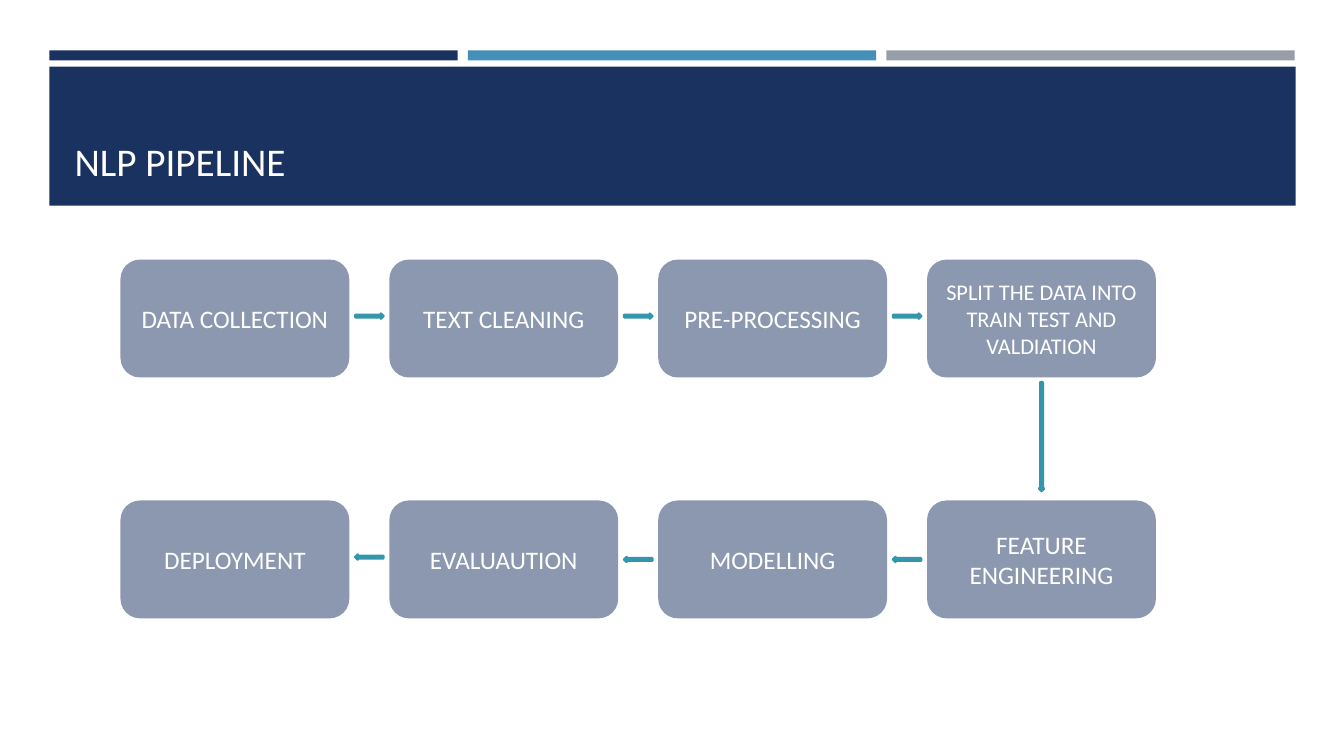
from pptx import Presentation
from pptx.dml.color import RGBColor
from pptx.enum.shapes import MSO_SHAPE
from pptx.enum.text import MSO_ANCHOR, MSO_AUTO_SIZE, PP_ALIGN
from pptx.oxml.ns import qn
from pptx.util import Inches, Pt
from lxml.etree import SubElement

NAVY = RGBColor(0x1A, 0x32, 0x60)
BLUE = RGBColor(0x45, 0x90, 0xB8)
GRAY = RGBColor(0x96, 0x9F, 0xA7)
CYAN = RGBColor(0x45, 0xCB, 0xE8)
TEAL = RGBColor(0x33, 0x96, 0xAC)
WHITE = RGBColor(0xFF, 0xFF, 0xFF)

STAGES = [
    ["DATA COLLECTION", "TEXT CLEANING", "PRE-PROCESSING",
     "SPLIT THE DATA INTO TRAIN TEST AND VALDIATION"],
    ["DEPLOYMENT", "EVALUAUTION", "MODELLING", "FEATURE ENGINEERING"],
]
ARROWS = [
    (0.5, -0.01, 0.28, 0), (1.5, -0.01, 0.28, 0), (2.5, -0.01, 0.28, 0),
    (3, 0.49, 1.08, 90),
    (2.5, 1, 0.28, 180), (1.5, 1, 0.28, 180), (0.5, 0.99, 0.28, 180),
]


def apply_format(target, values):
    for name, value in values.items():
        setattr(target, name, value)


class PipelineSlide:
    font_name = "Calibri"
    first_center = (2.33, 3.16)
    pitch = (8 / 3, 2.39)
    stage_size = (2.27, 1.17)
    arrow_thickness = 0.05

    def __init__(self, presentation):
        self.slide = presentation.slides.add_slide(presentation.slide_layouts[5])

    def shape(self, kind, left, top, width, height, color):
        shape = self.slide.shapes.add_shape(
            kind, Inches(left), Inches(top), Inches(width), Inches(height))
        shape.shadow.inherit = False
        shape.fill.solid()
        shape.fill.fore_color.rgb = color
        shape.line.fill.background()
        return shape

    def centered(self, kind, column, row, width, height, color):
        center_x = self.first_center[0] + column * self.pitch[0]
        center_y = self.first_center[1] + row * self.pitch[1]
        return self.shape(kind, center_x - width / 2, center_y - height / 2,
                          width, height, color)

    def set_text(self, shape, text, size, anchor, alignment):
        frame = shape.text_frame
        frame.text = text
        apply_format(frame, {"word_wrap": True, "vertical_anchor": anchor,
                             "auto_size": MSO_AUTO_SIZE.NONE})
        paragraph = frame.paragraphs[0]
        paragraph.alignment = alignment
        font = paragraph.runs[0].font
        apply_format(font, {"name": self.font_name, "size": Pt(size)})
        font.color.rgb = WHITE

    def header(self, text):
        for index, color in enumerate((NAVY, BLUE, GRAY)):
            self.shape(MSO_SHAPE.RECTANGLE, 0.49 + index * 4.15, 0.5, 4.05, 0.1, color)
        banner = self.shape(MSO_SHAPE.RECTANGLE, 0.49, 0.66, 12.36, 1.38, NAVY)
        title = self.slide.shapes.title
        apply_format(title, {"left": Inches(0.64), "top": Inches(0.8),
                             "width": Inches(12.06), "height": Inches(1.08)})
        self.set_text(title, text, 28, MSO_ANCHOR.BOTTOM, PP_ALIGN.LEFT)
        banner.element.addnext(title.element)

    def stage(self, column, row, text):
        box = self.centered(MSO_SHAPE.ROUNDED_RECTANGLE, column, row,
                            *self.stage_size, NAVY)
        color = box.element.spPr.find(qn("a:solidFill")).find(qn("a:srgbClr"))
        SubElement(color, qn("a:alpha"), val="50000")
        size = 16 if len(text) > 30 else 18
        self.set_text(box, text, size, MSO_ANCHOR.MIDDLE, PP_ALIGN.CENTER)

    def arrow(self, column, row, length, rotation):
        arrow = self.centered(MSO_SHAPE.RIGHT_ARROW, column, row, length,
                              self.arrow_thickness, CYAN)
        arrow.rotation = rotation
        arrow.line.color.rgb = TEAL
        arrow.line.width = Pt(1.75)


def main():
    presentation = Presentation()
    apply_format(presentation, {"slide_width": Inches(13.33),
                                "slide_height": Inches(7.5)})
    pipeline = PipelineSlide(presentation)
    pipeline.header("NLP PIPELINE")
    for row, names in enumerate(STAGES):
        for column, name in enumerate(names):
            pipeline.stage(column, row, name)
    for arrow in ARROWS:
        pipeline.arrow(*arrow)
    presentation.save("out.pptx")


if __name__ == "__main__":
    main()
